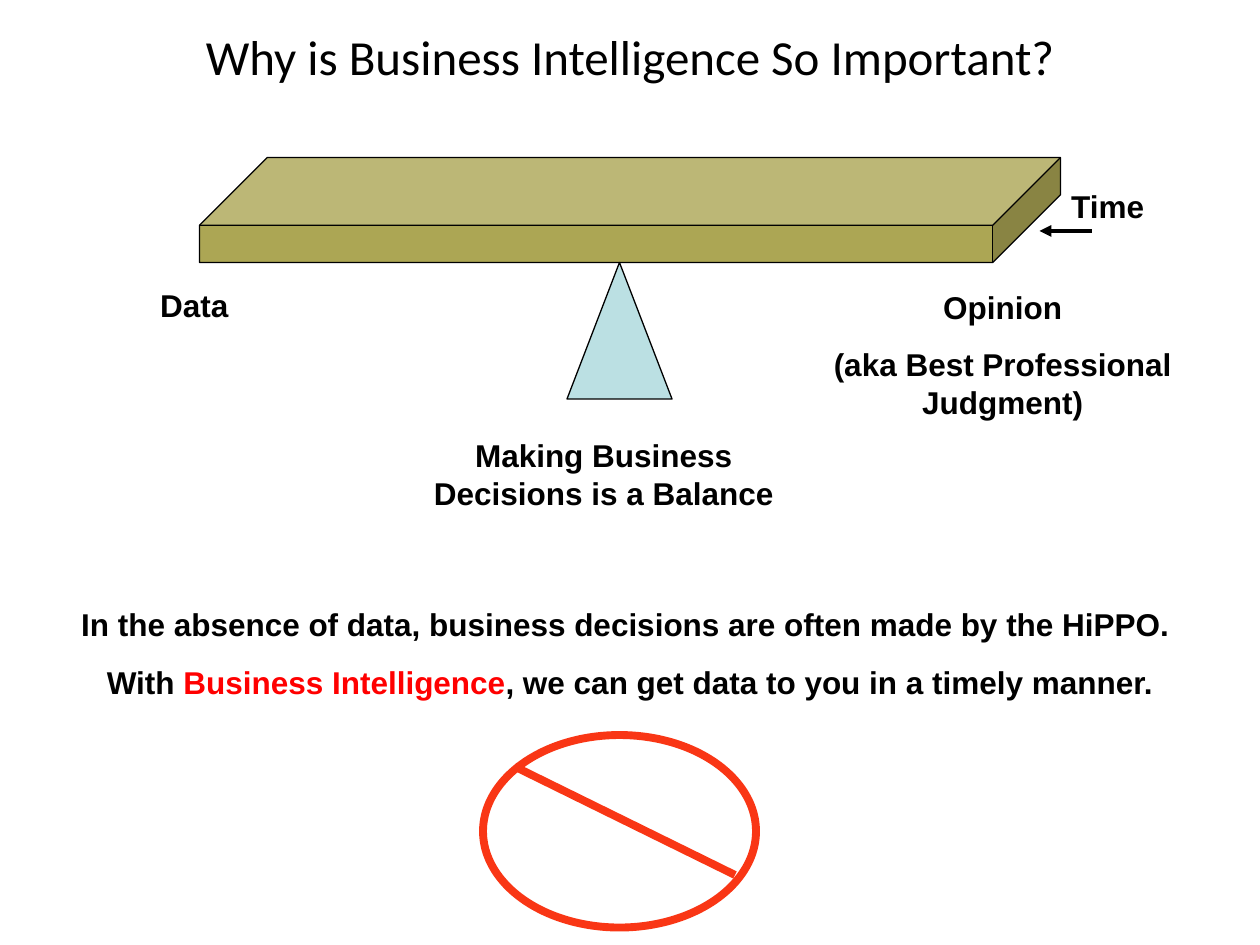
from pptx import Presentation
from pptx.util import Pt
from pptx.dml.color import RGBColor
from pptx.enum import shapes as kinds, text as txt
from pptx.oxml import ns, xmlchemy as xml

INK = {"black": "000000", "beam": "ACA654", "pivot": "BBE0E3",
       "ban": "F93615", "red": "FF0000"}


def hue(name):
    return RGBColor.from_string(INK[name])


def label(parent, x, y, w, h, paras, size=18, font="Arial", bold=True):
    frame = parent.add_textbox(Pt(x), Pt(y), Pt(w), Pt(h)).text_frame
    frame.word_wrap = True
    frame.vertical_anchor = txt.MSO_ANCHOR.MIDDLE
    for i, parts in enumerate(paras):
        para = frame.add_paragraph() if i else frame.paragraphs[0]
        para.alignment = txt.PP_ALIGN.CENTER
        para.space_before = Pt(11.2)
        for words, color in parts:
            run = para.add_run()
            run.text = words
            run.font.size = Pt(size)
            run.font.name = font
            run.font.bold = bold
            run.font.color.rgb = hue(color)


def solid(parent, kind, x, y, w, h, fill, line, width):
    shape = parent.add_shape(kind, Pt(x), Pt(y), Pt(w), Pt(h))
    shape.shadow.inherit = False
    if fill:
        shape.fill.solid()
        shape.fill.fore_color.rgb = hue(fill)
    else:
        shape.fill.background()
    shape.line.color.rgb = hue(line)
    shape.line.width = Pt(width)
    return shape


def stroke(parent, x1, y1, x2, y2, color, width, arrow=False):
    line = parent.add_connector(kinds.MSO_CONNECTOR.STRAIGHT,
                                Pt(x1), Pt(y1), Pt(x2), Pt(y2))
    line.line.color.rgb = hue(color)
    line.line.width = Pt(width)
    if arrow:
        head = xml.OxmlElement("a:tailEnd")
        head.set("type", "triangle")
        line.line._get_or_add_ln().append(head)
    props = line._element.find(ns.qn("p:spPr"))
    props.append(xml.OxmlElement("a:effectLst"))


def title(slide, x, y, w, h):
    label(slide.shapes, x, y, w, h,
          [[("Why is Business Intelligence So Important?", "black")]],
          28, "Calibri", False)


def timing(slide, x, y, w, h):
    group = slide.shapes.add_group_shape().shapes
    label(group, x, y, w, h, [[("Time", "black")]])
    stroke(group, x + 60, y + h, x + 30, y + h, "black", 2.25, True)


def scale(slide, x, y, w, h):
    group = slide.shapes.add_group_shape().shapes
    beam = solid(group, kinds.MSO_SHAPE.CUBE, x + 72, y, 492, 60,
                 "beam", "black", 0.75)
    beam.adjustments[0] = 0.646
    solid(group, kinds.MSO_SHAPE.ISOSCELES_TRIANGLE, x + 282, y + 60, 60, 78,
          "pivot", "black", 0.75)
    label(group, x + 180, y + h - 50, 246, 50,
          [[("Making Business Decisions is a Balance", "black")]])
    label(group, x, y + 70, 138, 29, [[("Data", "black")]])
    label(group, x + w - 210, y + 70.5, 210, 84,
          [[("Opinion", "black")],
           [("(aka Best Professional Judgment)", "black")]])


def claim(slide, x, y, w, h):
    label(slide.shapes, x, y, w, h,
          [[("In the absence of data, business decisions are often made "
             "by the HiPPO. ", "black")],
           [("With ", "black"), ("Business Intelligence", "red"),
            (", we can get data to you in a timely manner.", "black")]])


def ban(slide, x, y, w, h):
    group = slide.shapes.add_group_shape().shapes
    solid(group, kinds.MSO_SHAPE.OVAL, x, y, w, h, None, "ban", 4.5)
    stroke(group, x + 18, y + 18, x + w - 12, y + h - 30, "ban", 4.5)


def main():
    deck = Presentation()
    deck.slide_width, deck.slide_height = Pt(720), Pt(540)
    slide = deck.slides.add_slide(deck.slide_layouts[6])
    title(slide, 36, 9.5, 648, 44.5)
    timing(slide, 564, 103, 138, 29)
    scale(slide, 42, 90, 636, 206)
    claim(slide, 30, 342, 660, 62)
    ban(slide, 276, 420, 156, 110)
    deck.save("out.pptx")


if __name__ == "__main__":
    main()
